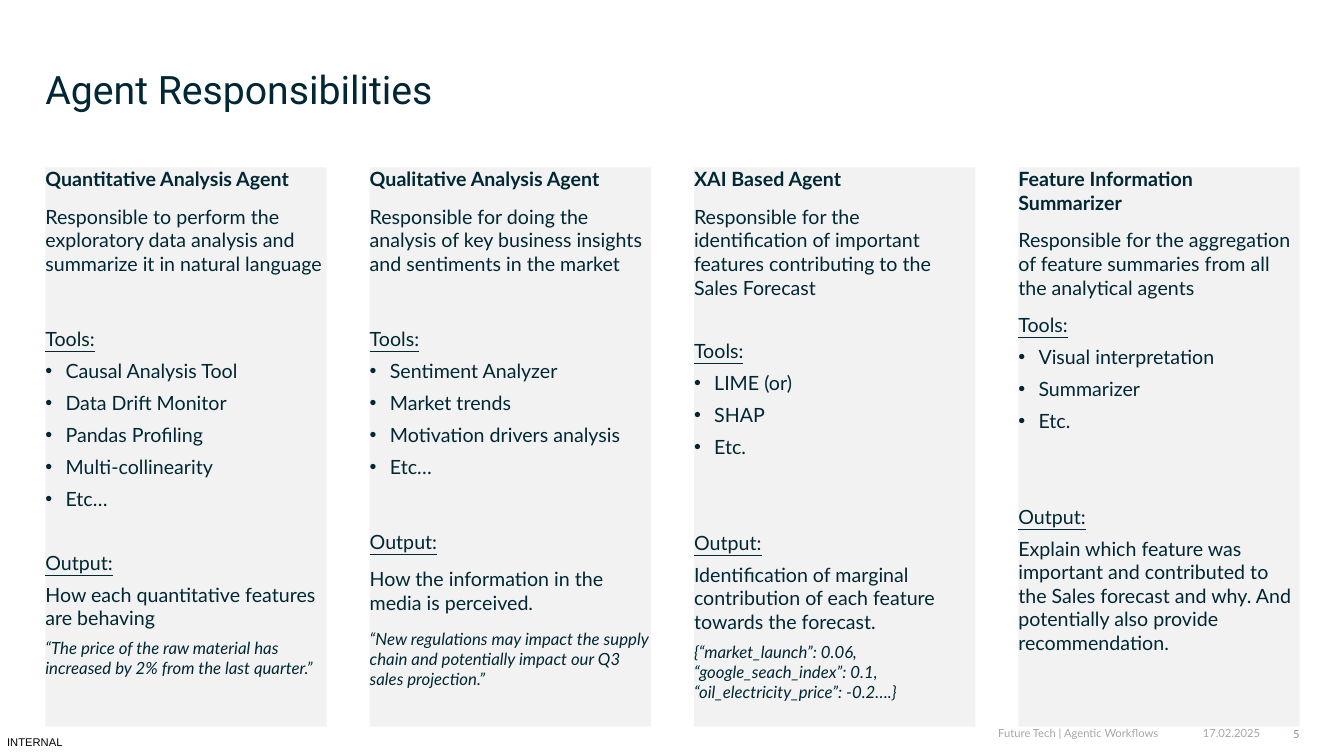
from dataclasses import dataclass

from lxml.etree import SubElement
from pptx import Presentation
from pptx.dml.color import RGBColor
from pptx.enum.shapes import MSO_SHAPE
from pptx.enum.text import MSO_ANCHOR, PP_ALIGN
from pptx.oxml.ns import qn
from pptx.util import Inches, Pt

INK, PANEL, MUTED, PAGE_GREY = "002733", "F2F2F2", "A6A6A6", "809399"
MARGIN, CONTENT_WIDTH = 0.45, 12.44
COLUMN_TOP, COLUMN_WIDTH, COLUMN_HEIGHT = 1.66, 2.79, 5.55
BULLET_INDENT = 0.2


@dataclass
class Agent:
    """Content of one agent column, with spacing in points."""
    name: str
    role: str
    tools: list
    output: str
    quote: str
    tools_gap: float
    output_gap: float
    output_spacing: float


AGENTS = [
    Agent("Quantitative Analysis Agent",
          "Responsible to perform the exploratory data analysis and summarize it in natural language",
          ["Causal Analysis Tool", "Data Drift Monitor", "Pandas Profiling", "Multi-collinearity", "Etc…"],
          "How each quantitative features are behaving",
          "“The price of the raw material has increased by 2% from the last quarter.”",
          36.8, 28.8, 6),
    Agent("Qualitative Analysis Agent",
          "Responsible for doing the analysis of key business insights and sentiments in the market",
          ["Sentiment Analyzer", "Market trends", "Motivation drivers analysis", "Etc…"],
          "How the information in the media is perceived.",
          "“New regulations may impact the supply chain and potentially impact our Q3 sales projection.”",
          36.8, 36.8, 10),
    Agent("XAI Based Agent",
          "Responsible for the identification of important features contributing to the Sales Forecast",
          ["LIME (or)", "SHAP", "Etc."],
          "Identification of marginal contribution of each feature towards the forecast.",
          "{“market_launch”: 0.06, “google_seach_index”: 0.1, “oil_electricity_price”: -0.2….}",
          28.8, 51.6, 6),
    Agent("Feature Information Summarizer",
          "Responsible for the aggregation of feature summaries from all the analytical agents",
          ["Visual interpretation", "Summarizer", "Etc."],
          "Explain which feature was important and contributed to the Sales forecast and why. "
          "And potentially also provide recommendation.",
          "", 10, 51.6, 6),
]


def color(value):
    """Return the colour for a hex string."""
    return RGBColor.from_string(value)


def style(paragraph, size, font_name, ink):
    """Set the font of a whole paragraph."""
    paragraph.font.size = Pt(size)
    paragraph.font.name = font_name
    paragraph.font.color.rgb = color(ink)


def prepare_frame(shape, anchor):
    """Remove the insets of a shape, wrap its text and return its frame."""
    frame = shape.text_frame
    frame.word_wrap = True
    frame.vertical_anchor = anchor
    frame.margin_left = frame.margin_right = frame.margin_top = frame.margin_bottom = 0
    return frame


def add_label(slide, box, text, size, font_name, ink, anchor=MSO_ANCHOR.MIDDLE, align=PP_ALIGN.RIGHT):
    """Place a one-line text in a box and return its paragraph."""
    shape = slide.shapes.add_textbox(*map(Inches, box))
    paragraph = prepare_frame(shape, anchor).paragraphs[0]
    paragraph.text = text
    paragraph.alignment = align
    style(paragraph, size, font_name, ink)
    return paragraph


def add_line(frame, text, space=0, size=14, bold=False, italic=False, underline=False, bullet=False):
    """Write the next paragraph of a column."""
    paragraph = frame.add_paragraph() if frame.text else frame.paragraphs[0]
    paragraph.text = text
    paragraph.alignment = PP_ALIGN.LEFT
    if space:
        paragraph.space_before = Pt(space)
    if bullet:
        properties = paragraph._p.get_or_add_pPr()
        properties.set("marL", str(Inches(BULLET_INDENT)))
        properties.set("indent", str(-Inches(BULLET_INDENT)))
        SubElement(properties, qn("a:buFont"), typeface="Arial")
        SubElement(properties, qn("a:buChar"), char="•")
    style(paragraph, size, "Lato", INK)
    paragraph.font.bold = bold
    paragraph.font.italic = italic
    paragraph.font.underline = underline


def add_agent_column(slide, box, agent):
    """Draw one panel with an agent's role, tools and output."""
    panel = slide.shapes.add_shape(MSO_SHAPE.RECTANGLE, *map(Inches, box))
    panel.shadow.inherit = False
    panel.fill.solid()
    panel.fill.fore_color.rgb = color(PANEL)
    panel.line.fill.background()
    frame = prepare_frame(panel, MSO_ANCHOR.TOP)
    add_line(frame, agent.name, bold=True)
    add_line(frame, agent.role, 10)
    add_line(frame, "Tools:", agent.tools_gap, underline=True)
    for tool in agent.tools:
        add_line(frame, tool, 6, bullet=True)
    add_line(frame, "Output:", agent.output_gap, underline=True)
    add_line(frame, agent.output, agent.output_spacing)
    if agent.quote:
        add_line(frame, agent.quote, agent.output_spacing, size=12, italic=True)


def add_columns(slide, left, top, width, height):
    """Spread the agent columns evenly over a box."""
    pitch = (width - COLUMN_WIDTH) / (len(AGENTS) - 1)
    for index, agent in enumerate(AGENTS):
        add_agent_column(slide, (left + index * pitch, top, COLUMN_WIDTH, height), agent)


def add_footer(slide, top):
    """Write the classification, footer text, date and page number."""
    add_label(slide, (0.07, top + 0.09, 0.58, 0.13), "INTERNAL", 8, "Arial", "000000",
              MSO_ANCHOR.TOP, PP_ALIGN.LEFT)
    add_label(slide, (0.44, top, 11.05, 0.13), "Future Tech | Agentic Workflows", 8, "Lato", MUTED)
    add_label(slide, (11.71, top - 0.01, 0.79, 0.14), "17.02.2025", 8, "Lato", MUTED)
    add_label(slide, (12.5, top, 0.39, 0.14), "5", 8, "Lato", PAGE_GREY)


def main():
    """Build and save the presentation."""
    presentation = Presentation()
    presentation.slide_width = Inches(13.33)
    presentation.slide_height = Inches(7.5)
    slide = presentation.slides.add_slide(presentation.slide_layouts[6])
    title = add_label(slide, (MARGIN, 0.7, CONTENT_WIDTH, 0.42), "Agent Responsibilities", 28, "Roboto",
                      INK, MSO_ANCHOR.BOTTOM, PP_ALIGN.LEFT)
    title.line_spacing = 0.9
    add_columns(slide, MARGIN, COLUMN_TOP, CONTENT_WIDTH, COLUMN_HEIGHT)
    add_footer(slide, COLUMN_TOP + COLUMN_HEIGHT)
    presentation.save("out.pptx")


if __name__ == "__main__":
    main()
